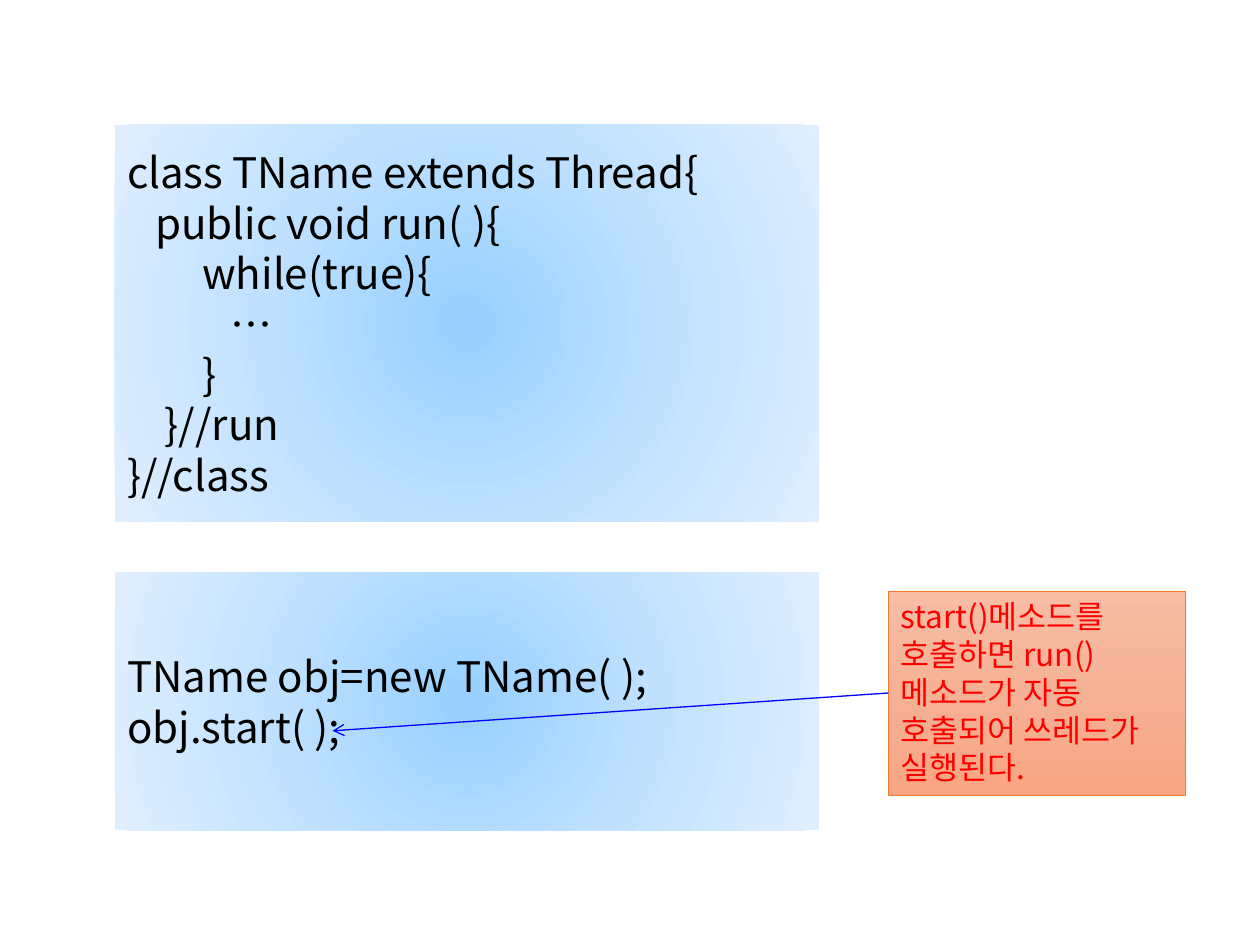
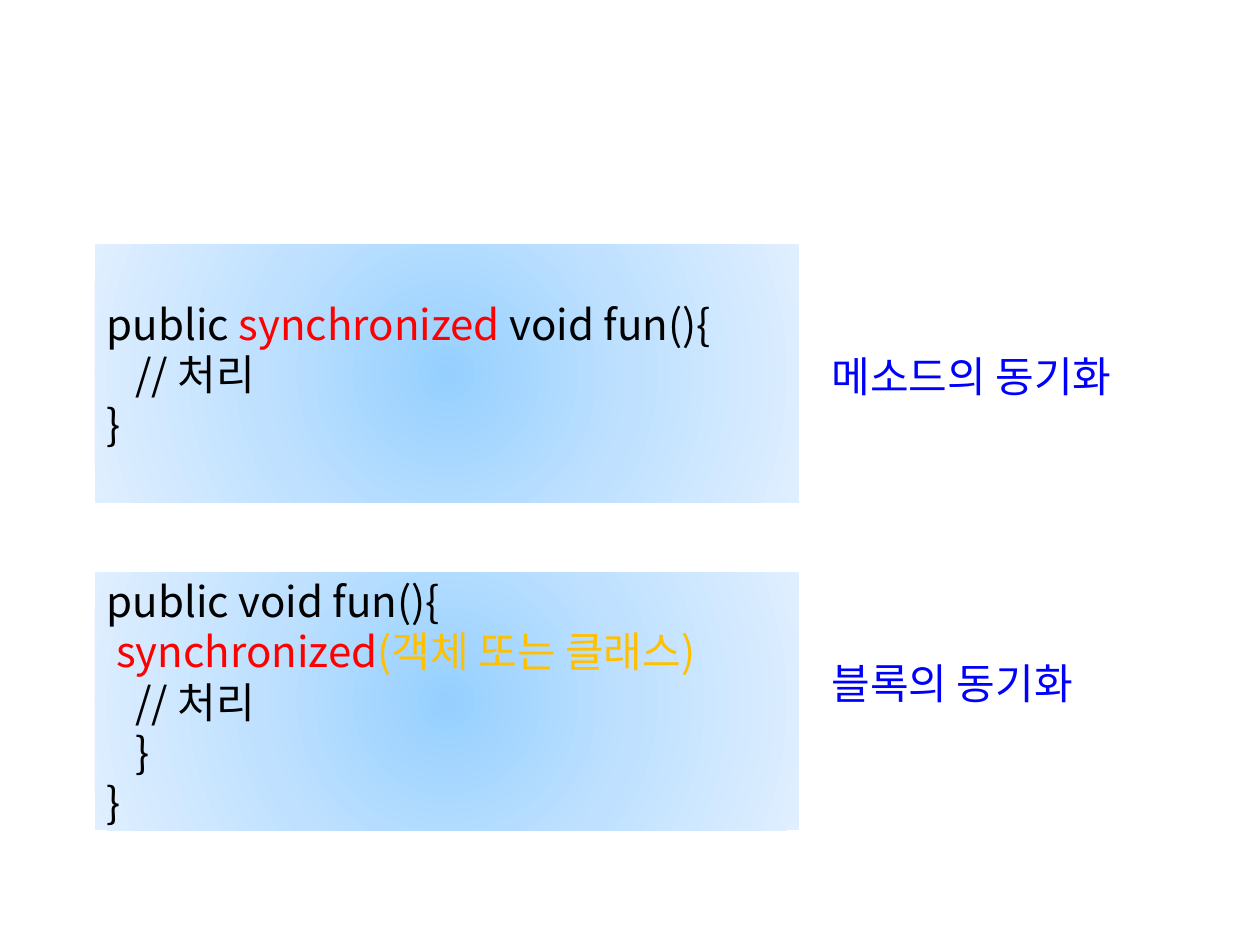
from lxml import etree
from pptx import Presentation
from pptx import util as u
from pptx.dml.color import RGBColor
from pptx.enum import shapes, text
from pptx.oxml import parse_xml
from pptx.oxml.ns import nsdecls, qn

FONT = "Noto Sans CJK KR"
BLACK = RGBColor(0x00, 0x00, 0x00)
RED = RGBColor(0xFF, 0x00, 0x00)
BLUE = RGBColor(0x00, 0x00, 0xFF)
AMBER = RGBColor(0xFF, 0xC0, 0x00)
ORANGE = RGBColor(0xED, 0x7D, 0x31)
PANEL_STOPS = (RGBColor(0x96, 0xD0, 0xFF), RGBColor(0xBF, 0xE1, 0xFF), RGBColor(0xE0, 0xEF, 0xFF))
CALLOUT_STOPS = (RGBColor(0xF7, 0xBD, 0xA5), RGBColor(0xF5, 0xB1, 0x96), RGBColor(0xF8, 0xA5, 0x82))
CENTRED = ('<a:path path="circle"><a:fillToRect l="50000" t="50000" r="50000" b="50000"/></a:path>')
DOWNWARD = '<a:lin ang="5400000" scaled="0"/>'

COLUMNS, ROWS = 10, 7.5
CELL = u.Inches(1)
CODE_SIZE, NOTE_SIZE = 24, 18
SPACE_WIDTH = 0.224 * CODE_SIZE
PANEL_WIDTH, PANEL_HEIGHT = 5.59, 2.05
LOWER_TOP = 4.54

THREAD_CLASS = [
    (0, [("class TName extends Thread{", BLACK)]),
    (3, [("public void run( ){", BLACK)]),
    (8, [("while(true){", BLACK)]),
    (11, [("…", BLACK)]),
    (8, [("}", BLACK)]),
    (4, [("}//run", BLACK)]),
    (0, [("}//class", BLACK)]),
]
THREAD_START = [
    (0, [("TName obj=new TName( );", BLACK)]),
    (0, [("obj.start( );", BLACK)]),
]
METHOD_SYNC = [
    (0, [("public ", BLACK), ("synchronized", RED), (" void fun(){", BLACK)]),
    (3, [("// 처리", BLACK)]),
    (0, [("}", BLACK)]),
]
BLOCK_SYNC = [
    (0, [("public void fun(){", BLACK)]),
    (1, [("synchronized", RED), ("(객체 또는 클래스)", AMBER)]),
    (3, [("// 처리", BLACK)]),
    (3, [("}", BLACK)]),
    (0, [("}", BLACK)]),
]


def cells(*lengths):
    return [round(length * CELL) for length in lengths]


def style_span(span, size, color):
    span.font.size = u.Pt(size)
    span.font.name = FONT
    span.font.color.rgb = color
    etree.SubElement(span.font._element, qn("a:ea")).set("typeface", FONT)


def fill_gradient(shape, colors, direction):
    stops = "".join(
        f'<a:gs pos="{index * 50000}"><a:srgbClr val="{color}"/></a:gs>'
        for index, color in enumerate(colors)
    )
    shape.fill.gradient()
    gradient = shape._element.spPr.find(qn("a:gradFill"))
    gradient.getparent().replace(gradient, parse_xml(
        f'<a:gradFill {nsdecls("a")} rotWithShape="1"><a:gsLst>{stops}</a:gsLst>{direction}</a:gradFill>'
    ))


def add_box(page, box, colors, direction, anchor):
    shape = page.shapes.add_shape(shapes.MSO_SHAPE.RECTANGLE, *cells(*box))
    shape.shadow.inherit = False
    fill_gradient(shape, colors, direction)
    shape.text_frame.word_wrap = True
    shape.text_frame.vertical_anchor = anchor
    return shape


def add_code_panel(page, box, lines):
    panel = add_box(page, box, PANEL_STOPS, CENTRED, text.MSO_ANCHOR.MIDDLE)
    panel.line.fill.background()
    frame = panel.text_frame
    for index, (indent, parts) in enumerate(lines):
        para = frame.add_paragraph() if index else frame.paragraphs[0]
        para.alignment = text.PP_ALIGN.LEFT
        para._p.get_or_add_pPr().set("marL", str(u.Pt(indent * SPACE_WIDTH)))
        for words, color in parts:
            span = para.add_run()
            span.text = words
            style_span(span, CODE_SIZE, color)


def write_note(shape, words, size, color):
    frame = shape.text_frame
    frame.word_wrap = True
    frame.auto_size = text.MSO_AUTO_SIZE.SHAPE_TO_FIT_TEXT
    frame.text = words
    para = frame.paragraphs[0]
    para.alignment = text.PP_ALIGN.LEFT
    style_span(para.runs[0], size, color)


def add_callout(page, box, words, target):
    callout = add_box(page, box, CALLOUT_STOPS, DOWNWARD, text.MSO_ANCHOR.TOP)
    callout.line.color.rgb = ORANGE
    callout.line.width = u.Pt(0.5)
    write_note(callout, words, NOTE_SIZE, RED)
    left, top, _, height = box
    arrow = page.shapes.add_connector(
        shapes.MSO_CONNECTOR.STRAIGHT, *cells(left, top + height / 2, *target)
    )
    arrow.line.color.rgb = BLUE
    arrow.line.width = u.Pt(0.75)
    etree.SubElement(arrow.line._get_or_add_ln(), qn("a:tailEnd")).set("type", "arrow")
    etree.SubElement(arrow._element.spPr, qn("a:effectLst"))


def add_label(page, box, words):
    label = page.shapes.add_textbox(*cells(*box))
    write_note(label, words, CODE_SIZE, BLUE)


def build_thread_page(page):
    left = 0.91
    add_code_panel(page, (left, 0.99, PANEL_WIDTH, 3.15), THREAD_CLASS)
    add_code_panel(page, (left, LOWER_TOP, PANEL_WIDTH, PANEL_HEIGHT), THREAD_START)
    add_callout(
        page,
        (7.05, LOWER_TOP + 0.15, 2.36, 1.62),
        "start()메소드를 호출하면 run()메소드가 자동 호출되어 쓰레드가 실행된다.",
        (left + 1.73, LOWER_TOP + 1.26),
    )


def build_sync_page(page):
    left = 0.75
    sections = [
        (1.94, METHOD_SYNC, 2.73, "메소드의 동기화"),
        (LOWER_TOP, BLOCK_SYNC, 5.17, "블록의 동기화"),
    ]
    for panel_top, lines, label_top, words in sections:
        add_code_panel(page, (left, panel_top, PANEL_WIDTH, PANEL_HEIGHT), lines)
        add_label(page, (6.5, label_top, 2.68, 0.5), words)


def main():
    deck = Presentation()
    deck.slide_width, deck.slide_height = cells(COLUMNS, ROWS)
    blank = deck.slide_layouts.get_by_name("Blank")
    for build_page in (build_thread_page, build_sync_page):
        build_page(deck.slides.add_slide(blank))
    deck.save("out.pptx")


if __name__ == "__main__":
    main()
